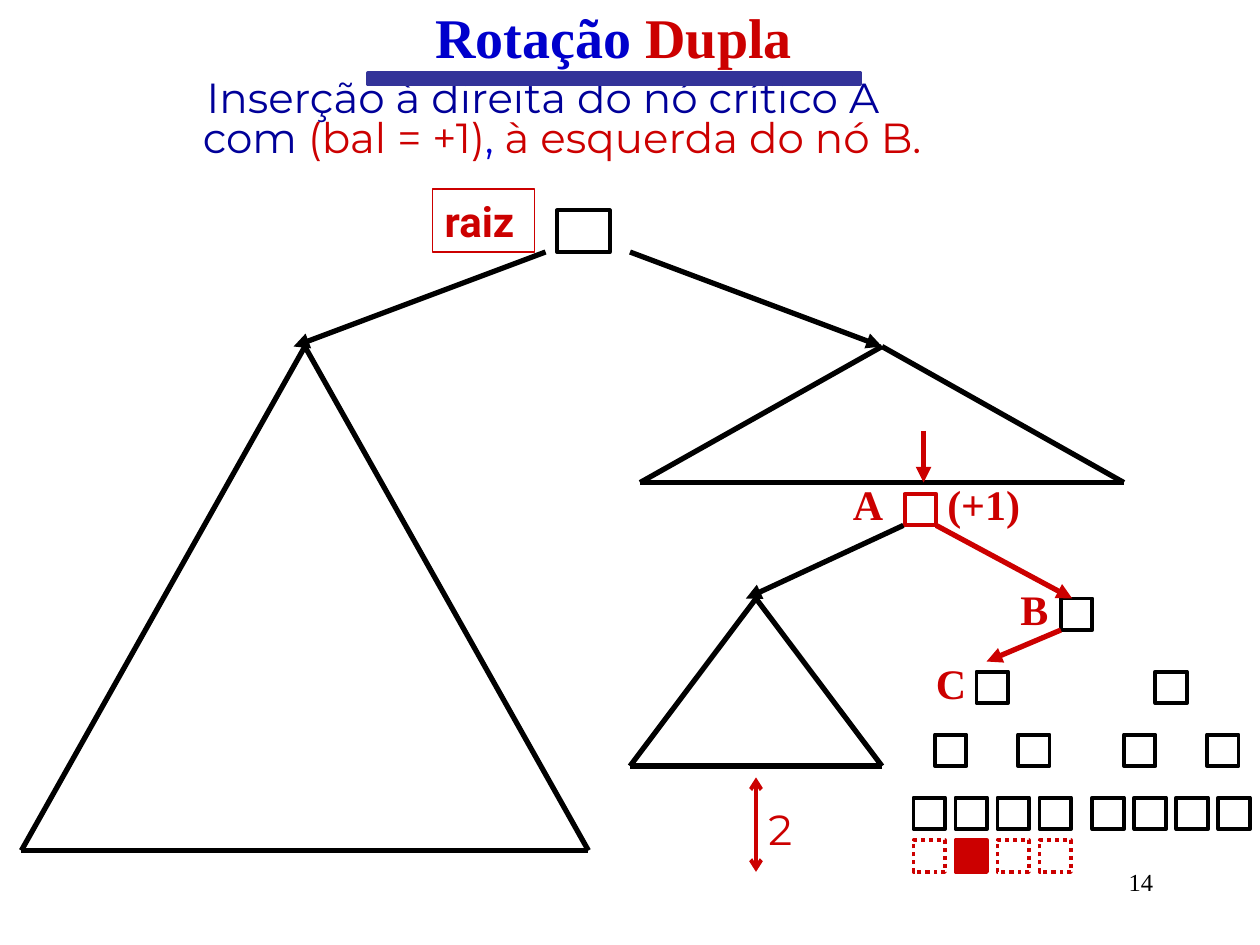
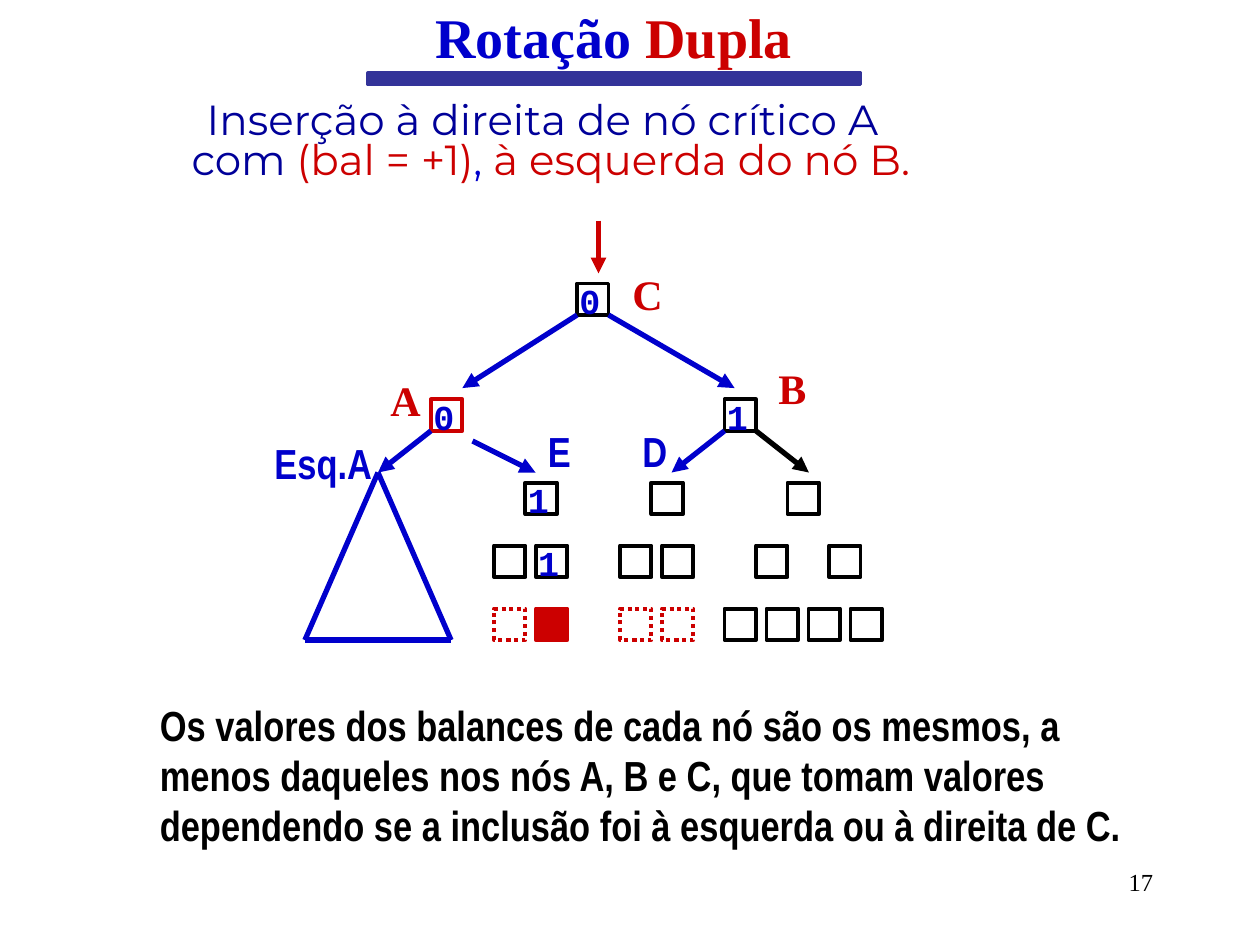
from lxml import etree
from pptx import Presentation
from pptx import util as u
from pptx.dml.color import RGBColor
from pptx.enum import dml, shapes, text
from pptx.oxml.ns import qn

COLORS = {"black": "000000", "red": "CC0000", "blue": "0000CC",
          "navy": "000099", "band": "333399"}
TITLE = [("Rotação ", "blue"), ("Dupla", "red")]
CASE = [("com ", "navy"), ("(bal = +1)", "red"), (",", "blue"),
        (" à esquerda do nó B.", "red")]

# Text styles: font, size, bold, colour
STYLES = {
    "title": ("Times New Roman", 32, True, "blue"),
    "body": ("Montserrat", 24, False, "navy"),
    "node name": ("Times New Roman", 24, True, "red"),
    "root": ("Roboto", 24, True, "red"),
    "height": ("Montserrat", 24, False, "red"),
    "subtree": ("Arial Narrow", 24, True, "blue"),
    "note": ("Arial Narrow", 24, True, "black"),
    "balance": ("Courier New", 20, True, "blue"),
    "number": ("Times New Roman", 14, False, "black"),
}
# Node styles: line colour, dotted, filled
NODES = {"plain": ("black", False, False), "critical": ("red", False, False),
         "possible": ("red", True, False), "inserted": ("red", False, True)}
NODE_SIZE = 0.25
SIBLING_STEP = 1 / 3

# Rows of nodes: left, top, step, [(style, balance), ...]
# Triangles: apex x, apex y, half base, base y, colour
# Labels: text, style, left, top, width, height
BEFORE = {
    "number": "14",
    "body_top": 0.6,
    "lines": [([("Inserção à direita do nó crítico A", "navy")], 0.37), (CASE, 0.34)],
    "rows": [
        (7.18, 3.92, 0, [("critical", "")]),
        (8.42, 4.75, 0, [("plain", "")]),
        (7.75, 5.33, 1.42, [("plain", "")] * 2),
        (7.42, 5.83, 0.66, [("plain", "")] * 2),
        (8.92, 5.83, 0.66, [("plain", "")] * 2),
        (7.25, 6.33, SIBLING_STEP, [("plain", "")] * 4),
        (8.67, 6.33, SIBLING_STEP, [("plain", "")] * 4),
        (7.25, 6.67, SIBLING_STEP, [("possible", ""), ("inserted", "")]
         + [("possible", "")] * 2),
    ],
    "triangles": [(2.42, 2.75, 2.25, 6.75, "black"), (7, 2.75, 1.92, 3.83, "black"),
                  (6, 4.75, 1, 6.08, "black")],
    "arrows": [
        ((4.33, 2), (2.33, 2.75), "black"),
        ((5, 2), (7, 2.75), "black"),
        ((7.33, 3.42), (7.33, 3.83), "red"),
        ((7.17, 4.17), (5.92, 4.75), "black"),
        ((7.43, 4.17), (8.51, 4.75), "red"),
        ((8.42, 5), (7.83, 5.25), "red"),
    ],
    "labels": [
        ("A", "node name", 6.67, 3.75, 0.5, 0.5),
        ("(+1)", "node name", 7.42, 3.75, 0.93, 0.5),
        ("B", "node name", 8, 4.58, 0.5, 0.5),
        ("C", "node name", 7.33, 5.17, 0.5, 0.5),
        ("2", "height", 6, 6.33, 0.42, 0.5),
    ],
}
AFTER = {
    "number": "17",
    "body_top": 0.77,
    "lines": [([("Inserção à direita de nó crítico A", "navy")], 0.37), (CASE, 0.25)],
    "rows": [
        (4.58, 2.25, 0, [("plain", "0")]),
        (3.42, 3.17, 0, [("critical", "0")]),
        (5.75, 3.17, 0, [("plain", "1")]),
        (4.17, 3.83, 0, [("plain", "1")]),
        (5.17, 3.83, 1.08, [("plain", "")] * 2),
        (3.92, 4.33, SIBLING_STEP, [("plain", ""), ("plain", "1")]),
        (4.92, 4.33, SIBLING_STEP, [("plain", "")] * 2),
        (6, 4.33, 0.58, [("plain", "")] * 2),
        (3.92, 4.83, SIBLING_STEP, [("possible", ""), ("inserted", "")]),
        (4.92, 4.83, SIBLING_STEP, [("possible", "")] * 2),
        (5.75, 4.83, SIBLING_STEP, [("plain", "")] * 4),
    ],
    "triangles": [(3, 3.75, 0.58, 5.08, "blue")],
    "arrows": [
        ((4.75, 1.75), (4.75, 2.17), "red"),
        ((4.58, 2.5), (3.67, 3.08), "blue"),
        ((4.83, 2.5), (5.83, 3.08), "blue"),
        ((3.42, 3.42), (3, 3.75), "blue"),
        ((3.75, 3.5), (4.25, 3.75), "blue"),
        ((5.75, 3.42), (5.33, 3.75), "blue"),
        ((6, 3.42), (6.42, 3.75), "black"),
    ],
    "labels": [
        ("C", "node name", 4.92, 2.08, 0.5, 0.5),
        ("A", "node name", 3, 2.92, 0.5, 0.5),
        ("B", "node name", 6.08, 2.83, 0.5, 0.5),
        ("Esq.A", "subtree", 2.08, 3.42, 1.08, 0.5),
        ("E", "subtree", 4.25, 3.33, 0.33, 0.5),
        ("D", "subtree", 5, 3.33, 0.42, 0.5),
        ("Os valores dos balances de cada nó são os mesmos, a menos daqueles nos nós "
         "A, B e C, que tomam valores dependendo se a inclusão foi à esquerda ou à "
         "direita de C.", "note", 1.17, 5.5, 7.92, 1.3),
    ],
}


def rgb(color):
    return RGBColor.from_string(COLORS[color])


def inches(*lengths):
    return [u.Inches(length) for length in lengths]


def format_run(run, style, color=None):
    name, size, bold, default = STYLES[style]
    run.font.name, run.font.size, run.font.bold = name, u.Pt(size), bold
    run.font.color.rgb = rgb(color or default)


def add_runs(paragraph, parts, style):
    for words, color in parts:
        run = paragraph.add_run()
        run.text = words
        format_run(run, style, color)


def add_label(slide, words, style, *place):
    box = slide.shapes.add_textbox(*inches(*place))
    box.text_frame.word_wrap = True
    paragraph = box.text_frame.paragraphs[0]
    paragraph.text = words
    format_run(paragraph.runs[0], style)
    return paragraph


def add_box(slide, place, line, width, fill=None):
    box = slide.shapes.add_shape(shapes.MSO_SHAPE.RECTANGLE, *inches(*place))
    box.shadow.inherit = False
    box.line.color.rgb, box.line.width = rgb(line), u.Pt(width)
    if fill:
        box.fill.solid()
        box.fill.fore_color.rgb = rgb(fill)
    else:
        box.fill.background()
    return box


def add_line(slide, start, end, color, width=3, **ends):
    """Draw a line; ends may give headEnd and tailEnd arrow types."""
    line = slide.shapes.add_connector(shapes.MSO_CONNECTOR.STRAIGHT,
                                      *inches(*start, *end))
    line.line.color.rgb, line.line.width = rgb(color), u.Pt(width)
    for tag, kind in ends.items():
        etree.SubElement(line.line._get_or_add_ln(), qn(f"a:{tag}"), type=kind)
    etree.SubElement(line._element.spPr, qn("a:effectLst"))


def add_triangle(slide, x, top, half, base, color):
    apex, left, right = (x, top), (x - half, base), (x + half, base)
    for start, end in ((apex, left), (apex, right), (left, right)):
        add_line(slide, start, end, color)


def add_row(slide, left, top, step, nodes):
    for i, (style, balance) in enumerate(nodes):
        x = left + i * step
        color, dotted, filled = NODES[style]
        node = add_box(slide, (x, top, NODE_SIZE, NODE_SIZE), color, 2.25,
                       color if filled else None)
        if dotted:
            node.line.dash_style = dml.MSO_LINE.ROUND_DOT
        if balance:
            add_label(slide, balance, "balance", x - 0.08, top - 0.08, 0.39, 0.44)


def place_placeholder(placeholder, *place):
    placeholder.left, placeholder.top, placeholder.width, placeholder.height = inches(*place)
    placeholder.text_frame.auto_size = text.MSO_AUTO_SIZE.NONE
    return placeholder.text_frame


def add_frame(slide, content):
    """Add the title, its band, the description and the page number."""
    add_box(slide, (2.92, 0.58, 3.91, 0.09), "band", 2, "band")
    title = place_placeholder(slide.shapes.title, 1.58, 0, 6.58, 0.58)
    title.vertical_anchor = text.MSO_ANCHOR.MIDDLE
    title.paragraphs[0].alignment = text.PP_ALIGN.CENTER
    add_runs(title.paragraphs[0], TITLE, "title")

    body = place_placeholder(slide.placeholders[1], 1.17, content["body_top"], 7.42, 0.83)
    for i, (parts, margin) in enumerate(content["lines"]):
        paragraph = body.add_paragraph() if i else body.paragraphs[0]
        properties = paragraph._p.get_or_add_pPr()
        properties.set("marL", str(u.Inches(margin)))
        properties.set("indent", "0")
        etree.SubElement(properties, qn("a:buNone"))
        paragraph.line_spacing, paragraph.space_before = u.Pt(23), u.Pt(0)
        add_runs(paragraph, parts, "body")

    number = add_label(slide, content["number"], "number", 7.17, 6.83, 2.08, 0.5)
    number.alignment = text.PP_ALIGN.RIGHT


def add_tree(slide, content):
    for triangle in content["triangles"]:
        add_triangle(slide, *triangle)
    for row in content["rows"]:
        add_row(slide, *row)
    for start, end, color in content["arrows"]:
        add_line(slide, start, end, color, tailEnd="triangle")
    for label in content["labels"]:
        add_label(slide, *label)


def add_root(slide):
    add_box(slide, (4.42, 1.67, 0.42, 0.33), "black", 2.25)
    root = add_box(slide, (3.43, 1.5, 0.81, 0.5), "red", 0.75)
    frame = root.text_frame
    frame.word_wrap = False
    frame.vertical_anchor = text.MSO_ANCHOR.TOP
    frame.text = "raiz"
    frame.paragraphs[0].alignment = text.PP_ALIGN.LEFT
    format_run(frame.paragraphs[0].runs[0], "root")


def main():
    deck = Presentation()
    deck.slide_width, deck.slide_height = inches(10, 7.5)
    for content in (BEFORE, AFTER):
        slide = deck.slides.add_slide(deck.slide_layouts[1])
        add_frame(slide, content)
        add_tree(slide, content)
        if content is BEFORE:
            add_root(slide)
            add_line(slide, (6, 6.17), (6, 6.92), "red", 2.25,
                     headEnd="arrow", tailEnd="arrow")
    deck.save("out.pptx")


if __name__ == "__main__":
    main()
